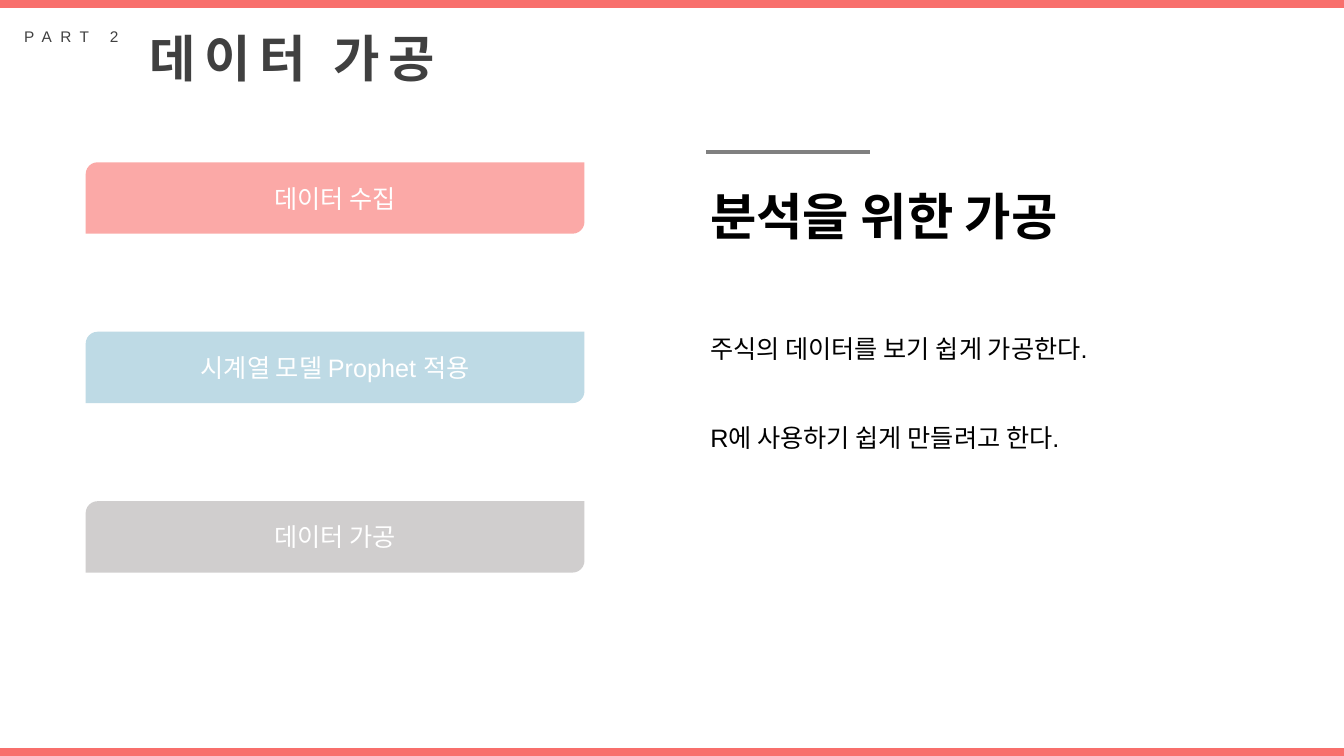
from lxml import etree
from pptx import Presentation
from pptx import util as u
from pptx.dml.color import RGBColor
from pptx.enum import shapes, text
from pptx.oxml import ns

COLORS = {
    "coral": "F86F6C", "pink": "FBA9A7", "blue": "BEDAE5", "silver": "D0CECE",
    "rule": "808080", "heading": "404040", "black": "000000", "white": "FFFFFF",
}
SHAPE = shapes.MSO_SHAPE
WIDTH, HEIGHT, BAR = 33.87, 19.05, 0.2


def rgb(name):
    return RGBColor.from_string(COLORS[name])


def add_run(p, content, color, spacing=0, **fmt):
    r = p.add_run()
    r.text = content
    for key, value in {"name": "Arial", "size": u.Pt(18), **fmt}.items():
        setattr(r.font, key, value)
    r.font.color.rgb = rgb(color)
    if spacing:
        r.font._element.set("spc", str(spacing * 100))


def add_block(s, kind, box, color):
    sp = s.shapes.add_shape(kind, *map(u.Cm, box))
    sp.shadow.inherit = False
    sp.fill.solid()
    sp.fill.fore_color.rgb = rgb(color)
    sp.line.fill.background()
    return sp


def add_card(s, box, color, label):
    tf = add_block(s, SHAPE.ROUND_2_DIAG_RECTANGLE, box, color).text_frame
    tf.vertical_anchor = text.MSO_ANCHOR.MIDDLE
    p = tf.paragraphs[0]
    p.alignment = text.PP_ALIGN.CENTER
    add_run(p, label, "white")


def add_text(s, box, lines, color, wrap=False, align=None, gap=0, **fmt):
    tf = s.shapes.add_textbox(*map(u.Cm, box)).text_frame
    tf.word_wrap = wrap
    tf.auto_size = text.MSO_AUTO_SIZE.SHAPE_TO_FIT_TEXT
    for i, line in enumerate(lines):
        p = tf.add_paragraph() if i else tf.paragraphs[0]
        p.alignment = align
        if i:
            p.space_before = u.Pt(gap)
        add_run(p, line, color, **fmt)


def add_rule(s, x1, x2, y):
    line = s.shapes.add_connector(shapes.MSO_CONNECTOR.STRAIGHT,
                                  *map(u.Cm, (x1, y, x2, y)))
    line.line.color.rgb = rgb("rule")
    line.line.width = u.Pt(3)
    etree.SubElement(line._element.spPr, ns.qn("a:effectLst"))


def main():
    prs = Presentation()
    prs.slide_width, prs.slide_height = u.Cm(WIDTH), u.Cm(HEIGHT)
    s = prs.slides.add_slide(prs.slide_layouts[6])

    # Top and bottom bars
    for y in (0, HEIGHT - BAR):
        add_block(s, SHAPE.RECTANGLE, (0, y, WIDTH, BAR), "coral")

    # Title
    add_text(s, (3.53, 0.56, 8.56, 1.8), ["데이터 가공"], "heading",
             size=u.Pt(36), bold=True, spacing=6)
    add_text(s, (0.36, 0.56, 3.18, 0.74), ["PART 2"], "heading",
             size=u.Pt(11), spacing=6)

    # Explanation on the right
    add_text(s, (17.65, 8.28, 14.6, 4.11),
             ["주식의 데이터를 보기 쉽게 가공한다.", "R에 사용하기 쉽게 만들려고 한다."],
             "black", wrap=True, align=text.PP_ALIGN.JUSTIFY, gap=42)
    add_text(s, (17.65, 4.55, 10.21, 1.8), ["분석을 위한 가공"], "black",
             size=u.Pt(36), bold=True)
    add_rule(s, 17.8, 21.92, 3.84)

    # Step cards on the left
    cards = [("pink", "데이터 수집"), ("blue", "시계열 모델 Prophet 적용"),
             ("silver", "데이터 가공")]
    for i, (color, label) in enumerate(cards):
        add_card(s, (2.16, 4.09 + 4.27 * i, 12.57, 1.8), color, label)

    prs.save("out.pptx")


if __name__ == "__main__":
    main()
